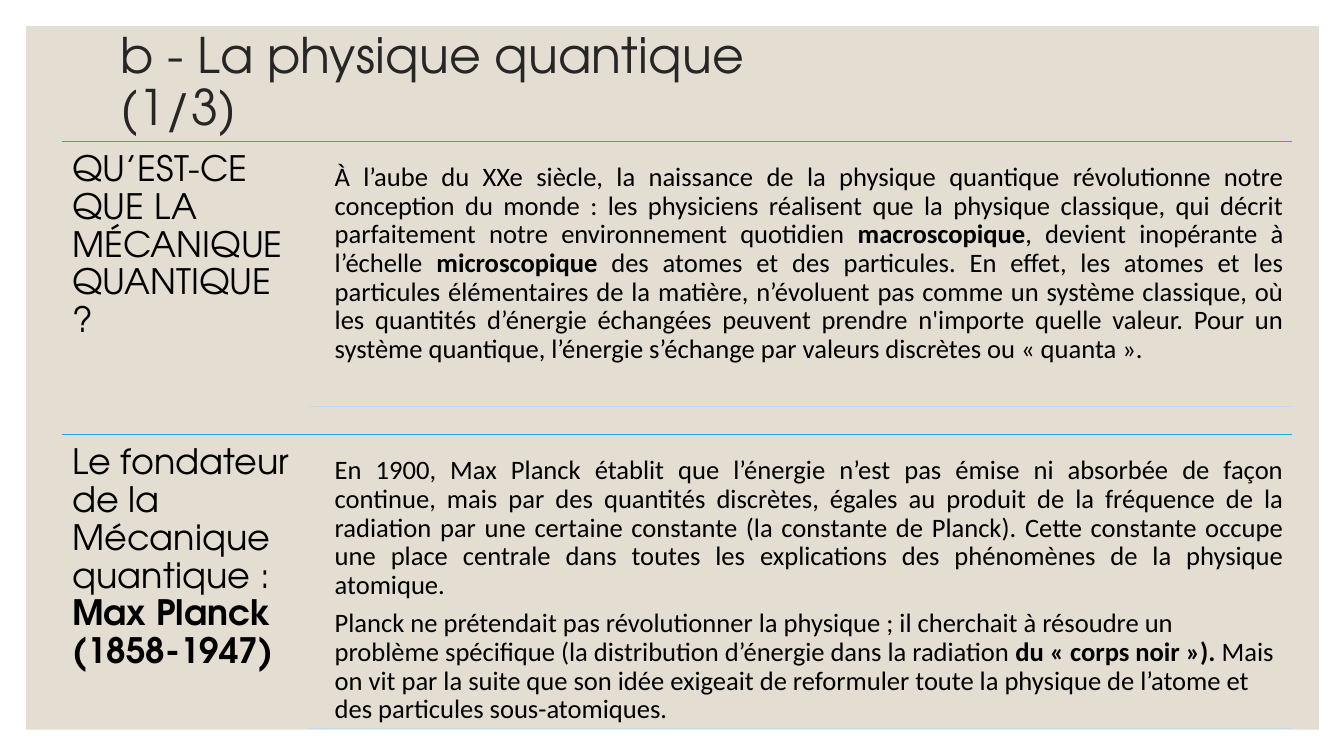
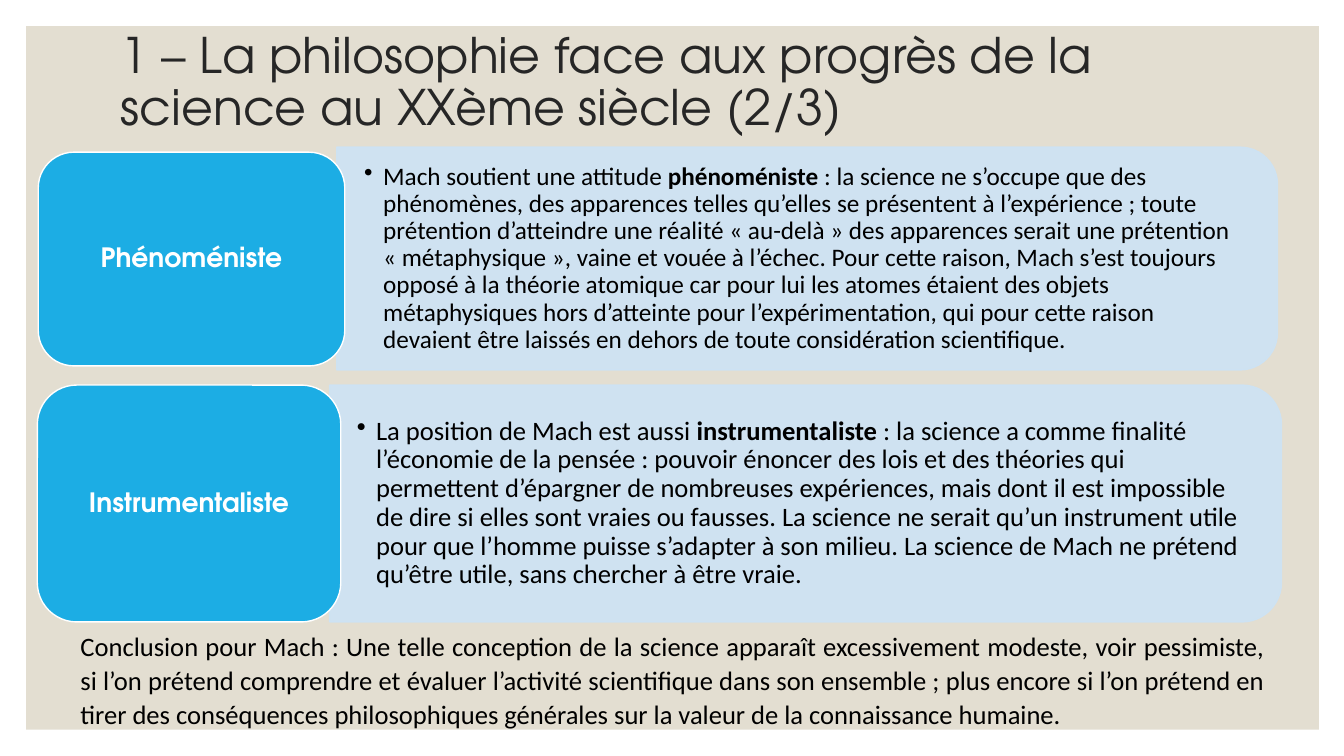
from pptx import Presentation
from pptx.dml.color import RGBColor
from pptx.enum.shapes import MSO_CONNECTOR as CONNECTOR, MSO_SHAPE as SHAPE
from pptx.enum.text import MSO_ANCHOR as ANCHOR, PP_ALIGN as ALIGN
from pptx.oxml.ns import qn
from pptx.util import Pt
from lxml.etree import SubElement

PX = 9144
SLIDE_W, SLIDE_H = 1333, 750
HEADING_FONT, BODY_FONT = "TeX Gyre Adventor", "Calibri"
SAND = RGBColor(0xE3, 0xDE, 0xD1)
BLUE = RGBColor(0x1C, 0xAD, 0xE4)
PALE_BLUE = RGBColor(0xCD, 0xE3, 0xF5)
RULE_BLUE = RGBColor(0xBD, 0xDB, 0xF2)
INK = RGBColor(0x26, 0x26, 0x26)
BLACK = RGBColor(0, 0, 0)
WHITE = RGBColor(0xFF, 0xFF, 0xFF)

QUANTUM_TITLE = "b - La physique quantique\v(1/3)"
TOPICS = [
    {
        "top": 140, "divider": 403,
        "heading": "QU’EST-CE QUE LA MÉCANIQUE QUANTIQUE ?",
        "body": [
            ("À l’aube du XXe siècle, la naissance de la physique quantique révolutionne notre "
             "conception du monde : les physiciens réalisent que la physique classique, qui décrit "
             "parfaitement notre environnement quotidien **macroscopique**, devient inopérante à "
             "l’échelle **microscopique** des atomes et des particules. En effet, les atomes et les "
             "particules élémentaires de la matière, n’évoluent pas comme un système classique, où "
             "les quantités d’énergie échangées peuvent prendre n'importe quelle valeur. Pour un "
             "système quantique, l’énergie s’échange par valeurs discrètes ou « quanta ».",
             ALIGN.JUSTIFY),
        ],
    },
    {
        "top": 431, "divider": 723,
        "heading": "Le fondateur de la Mécanique quantique : **Max Planck (1858-1947)**",
        "body": [
            ("En 1900, Max Planck établit que l’énergie n’est pas émise ni absorbée de façon "
             "continue, mais par des quantités discrètes, égales au produit de la fréquence de la "
             "radiation par une certaine constante (la constante de Planck). Cette constante occupe "
             "une place centrale dans toutes les explications des phénomènes de la physique "
             "atomique.", ALIGN.JUSTIFY),
            ("Planck ne prétendait pas révolutionner la physique ; il cherchait à résoudre un "
             "problème spécifique (la distribution d’énergie dans la radiation **du « corps noir »). "
             "**Mais on vit par la suite que son idée exigeait de reformuler toute la physique de "
             "l’atome et des particules sous-atomiques.", ALIGN.LEFT),
        ],
    },
]

MACH_TITLE = "1 – La philosophie face aux progrès de la science au XXème siècle (2/3)"
ATTITUDES = [
    {
        "name": "Phénoméniste", "size": 18,
        "tile": (38, 151, 304, 212), "panel": (334, 146, 933, 221),
        "body": "Mach soutient une attitude **phénoméniste** : la science ne s’occupe que des "
                "phénomènes, des apparences telles qu’elles se présentent à l’expérience ; toute "
                "prétention d’atteindre une réalité « au-delà » des apparences serait une prétention "
                "« métaphysique », vaine et vouée à l’échec. Pour cette raison, Mach s’est toujours "
                "opposé à la théorie atomique car pour lui les atomes étaient des objets "
                "métaphysiques hors d’atteinte pour l’expérimentation, qui pour cette raison "
                "devaient être laissés en dehors de toute considération scientifique.",
    },
    {
        "name": "Instrumentaliste", "size": 19,
        "tile": (37, 382, 301, 235), "panel": (327, 382, 944, 235),
        "body": "La position de Mach est aussi **instrumentaliste** : la science a comme finalité "
                "l’économie de la pensée : pouvoir énoncer des lois et des théories qui permettent "
                "d’épargner de nombreuses expériences, mais dont il est impossible de dire si elles "
                "sont vraies ou fausses. La science ne serait qu’un instrument utile pour que "
                "l’homme puisse s’adapter à son milieu. La science de Mach ne prétend qu’être utile, "
                "sans chercher à être vraie.",
    },
]
CONCLUSION = (
    "Conclusion pour Mach : Une telle conception de la science apparaît excessivement modeste, voir "
    "pessimiste, si l’on prétend comprendre et évaluer l’activité scientifique dans son ensemble ; "
    "plus encore si l’on prétend en tirer des conséquences philosophiques générales sur la valeur "
    "de la connaissance humaine.")


def emu(*lengths):
    return [round(length * PX) for length in lengths]


def set_frame(frame, inset_x, inset_y, anchor=ANCHOR.TOP):
    frame.word_wrap = True
    frame.vertical_anchor = anchor
    frame.margin_left = frame.margin_right = inset_x * PX
    frame.margin_top = frame.margin_bottom = inset_y * PX


def add_box(slide, box, inset_x=10, inset_y=5, anchor=ANCHOR.TOP):
    frame = slide.shapes.add_textbox(*emu(*box)).text_frame
    set_frame(frame, inset_x, inset_y, anchor)
    return frame


def style(paragraph, font_name, size, color, align=ALIGN.LEFT, spacing=0.9, after=0.0):
    paragraph.alignment = align
    paragraph.line_spacing = spacing
    paragraph.space_after = Pt(after)
    font = paragraph.font
    font.name, font.size = font_name, Pt(size)
    font.color.rgb = color


def add_runs(paragraph, marked):
    for index, piece in enumerate(marked.split("**")):
        if piece:
            run = paragraph.add_run()
            run.text = piece
            if index % 2:
                run.font.bold = True


def add_bullet(paragraph, indent):
    properties = paragraph._p.get_or_add_pPr()
    properties.set("marL", str(indent * PX))
    properties.set("indent", str(-indent * PX))
    SubElement(properties, qn("a:buChar")).set("char", "•")


def add_shape(slide, preset, box, fill, line=None):
    shape = slide.shapes.add_shape(preset, *emu(*box))
    shape.shadow.inherit = False
    shape.fill.solid()
    shape.fill.fore_color.rgb = fill
    if line is None:
        shape.line.fill.background()
    else:
        shape.line.color.rgb = line
        shape.line.width = Pt(1)
    return shape


def add_rule(slide, left, right, y, color, width):
    rule = slide.shapes.add_connector(CONNECTOR.STRAIGHT, *emu(left, y, right, y))
    rule.line.color.rgb = color
    rule.line.width = Pt(width)
    SubElement(rule._element.spPr, qn("a:effectLst"))


def add_slide(deck, title):
    slide = deck.slides.add_slide(deck.slide_layouts[6])
    add_shape(slide, SHAPE.RECTANGLE, (26, 26, 1282, 698), SAND)
    heading = add_box(slide, (110, 8, 1100, 150), anchor=ANCHOR.MIDDLE).paragraphs[0]
    heading.text = title
    style(heading, HEADING_FONT, 35, INK)
    return slide


def add_topic(slide, topic):
    left, body_left, right = 62, 324, 1281
    top, divider = topic["top"], topic["divider"]
    add_rule(slide, left, right, top, BLUE, 0.5)
    heading = add_box(slide, (left, top, 244, 292), 10, 10).paragraphs[0]
    add_runs(heading, topic["heading"])
    style(heading, HEADING_FONT, 25, BLACK)
    body_top = top + 14
    frame = add_box(slide, (body_left, body_top, right - body_left, divider - body_top), 8, 8)
    for index, (text, align) in enumerate(topic["body"]):
        paragraph = frame.add_paragraph() if index else frame.paragraphs[0]
        add_runs(paragraph, text)
        style(paragraph, BODY_FONT, 19, BLACK, align, after=6.65)
    add_rule(slide, 306, right, divider, RULE_BLUE, 1)


def add_attitude(slide, attitude):
    left, top, width, height = attitude["panel"]
    turned = (left + (width - height) / 2, top + (height - width) / 2, height, width)
    panel = add_shape(slide, SHAPE.ROUND_2_SAME_RECTANGLE, turned, PALE_BLUE, PALE_BLUE)
    panel.rotation = 90
    for color in panel._element.spPr.iter(qn("a:srgbClr")):
        SubElement(color, qn("a:alpha")).set("val", "90000")

    box = (left, top + 11, width - 11, height - 22)
    body = add_box(slide, box, 27, 14, ANCHOR.MIDDLE).paragraphs[0]
    add_bullet(body, 19)
    add_runs(body, attitude["body"])
    style(body, BODY_FONT, attitude["size"], BLACK, after=2.7)

    tile = add_shape(slide, SHAPE.ROUNDED_RECTANGLE, attitude["tile"], BLUE, WHITE)
    set_frame(tile.text_frame, 8, 4, ANCHOR.MIDDLE)
    name = tile.text_frame.paragraphs[0]
    name.text = attitude["name"]
    style(name, HEADING_FONT, 19, WHITE, ALIGN.CENTER)
    name.font.bold = True


def main():
    deck = Presentation()
    deck.slide_width, deck.slide_height = emu(SLIDE_W, SLIDE_H)

    quantum = add_slide(deck, QUANTUM_TITLE)
    for topic in TOPICS:
        add_topic(quantum, topic)

    mach = add_slide(deck, MACH_TITLE)
    for attitude in ATTITUDES:
        add_attitude(mach, attitude)
    conclusion = add_box(mach, (70, 618, 1194, 109)).paragraphs[0]
    add_runs(conclusion, CONCLUSION)
    style(conclusion, BODY_FONT, 19, BLACK, ALIGN.JUSTIFY, 1.07)

    deck.save("out.pptx")


if __name__ == "__main__":
    main()
